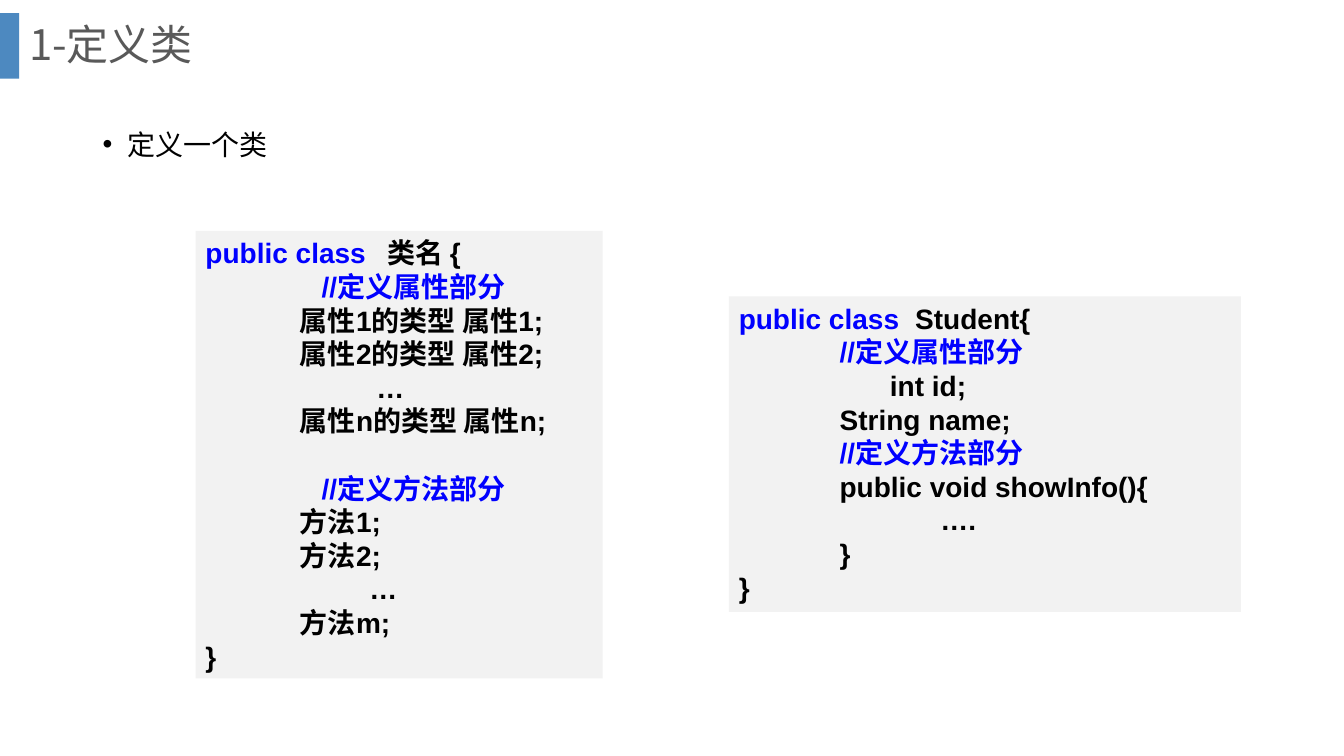
from dataclasses import dataclass

from lxml.etree import SubElement
from pptx import Presentation
from pptx.dml.color import RGBColor
from pptx.enum.shapes import MSO_SHAPE
from pptx.enum.text import MSO_ANCHOR, PP_ALIGN
from pptx.oxml.ns import qn
from pptx.util import Pt

ACCENT = RGBColor(0x2E, 0x75, 0xB6)
TITLE_GREY = RGBColor(0x59, 0x59, 0x59)
PANEL_GREY = RGBColor(0xF2, 0xF2, 0xF2)
BLUE = RGBColor(0x00, 0x00, 0xFF)
BLACK = RGBColor(0x00, 0x00, 0x00)
CJK_FONT = "Noto Sans CJK SC"
CODE_FONT = "Arial"
CODE_SIZE = 20


@dataclass(frozen=True)
class Box:
    left: float
    top: float
    width: float
    height: float

    def in_points(self):
        return Pt(self.left), Pt(self.top), Pt(self.width), Pt(self.height)


@dataclass(frozen=True)
class Line:
    text: str
    indent: float = 0
    color: RGBColor = BLACK
    keyword: str = ""
    tab: float = 0
    space_before: float = 0


@dataclass(frozen=True)
class CodePanel:
    box: Box
    lines: tuple[Line, ...]


STEP = 67.5
COMMENT = 83
TEMPLATE = CodePanel(Box(139.7, 164.9, 290.9, 319.7), (
    Line("\t类名 {", keyword="public class", tab=130),
    Line("//定义属性部分", COMMENT, BLUE),
    Line("属性1的类型 属性1;", STEP),
    Line("属性2的类型 属性2;", STEP),
    Line("…", 122),
    Line("属性n的类型 属性n;", STEP),
    Line("//定义方法部分", COMMENT, BLUE, space_before=24),
    Line("方法1;", STEP),
    Line("方法2;", STEP),
    Line("…", 117),
    Line("方法m;", STEP),
    Line("}"),
))
STUDENT = CodePanel(Box(520.6, 211.7, 365.8, 225.4), (
    Line("\tStudent{", keyword="public class", tab=126),
    Line("//定义属性部分", 72, BLUE),
    Line("int id;", 108),
    Line("String name;", 72),
    Line("//定义方法部分", 72, BLUE),
    Line("public void showInfo(){", 72),
    Line("….", 144),
    Line("}", 72),
    Line("}"),
))


def add_run(p, text: str, size: float, color: RGBColor,
            font: str = CJK_FONT, bold: bool = False) -> None:
    r = p.add_run()
    r.text = text
    r.font.size = Pt(size)
    r.font.bold = bold
    r.font.name = font
    r.font.color.rgb = color
    SubElement(r.font._element, qn("a:ea"), typeface=CJK_FONT)


def add_rect(s, box: Box, color: RGBColor):
    sp = s.shapes.add_shape(MSO_SHAPE.RECTANGLE, *box.in_points())
    sp.shadow.inherit = False
    sp.fill.solid()
    sp.fill.fore_color.rgb = color
    sp.line.fill.background()
    return sp


def add_accent(s) -> None:
    sp = add_rect(s, Box(0, 9.4, 13.7, 46.8), ACCENT)
    color = sp.fill._xPr.find(qn("a:solidFill")).find(qn("a:srgbClr"))
    SubElement(color, qn("a:alpha"), val="85000")


def add_text_box(s, box: Box, anchor: MSO_ANCHOR, line_spacing: float):
    tf = s.shapes.add_textbox(*box.in_points()).text_frame
    tf.word_wrap = True
    tf.vertical_anchor = anchor
    p = tf.paragraphs[0]
    p.line_spacing = line_spacing
    return p


def add_title(s) -> None:
    p = add_text_box(s, Box(13.7, 0, 911.5, 67), MSO_ANCHOR.MIDDLE, 0.9)
    add_run(p, "1-定义类", 30, TITLE_GREY)


def add_bullet(s) -> None:
    p = add_text_box(s, Box(66.2, 75.6, 828, 443.5), MSO_ANCHOR.TOP, 1.5)
    p.space_before = Pt(10)
    pPr = p._p.get_or_add_pPr()
    pPr.set("marL", str(Pt(18)))
    pPr.set("indent", str(Pt(-18)))
    SubElement(pPr, qn("a:buFont"), typeface="Arial")
    SubElement(pPr, qn("a:buChar"), char="•")
    add_run(p, "定义一个类", 20, BLACK)


def add_code_panel(s, panel: CodePanel) -> None:
    tf = add_rect(s, panel.box, PANEL_GREY).text_frame
    tf.word_wrap = True
    tf.vertical_anchor = MSO_ANCHOR.TOP
    for i, line in enumerate(panel.lines):
        p = tf.add_paragraph() if i else tf.paragraphs[0]
        p.alignment = PP_ALIGN.LEFT
        p.space_before = Pt(line.space_before)
        pPr = p._p.get_or_add_pPr()
        pPr.set("marL", str(Pt(line.indent)))
        if line.tab:
            tabs = SubElement(pPr, qn("a:tabLst"))
            SubElement(tabs, qn("a:tab"), pos=str(Pt(line.tab)), algn="l")
        if line.keyword:
            add_run(p, line.keyword, CODE_SIZE, BLUE, CODE_FONT, True)
        add_run(p, line.text, CODE_SIZE, line.color, CODE_FONT, True)


def main() -> None:
    prs = Presentation()
    prs.slide_width, prs.slide_height = Pt(960), Pt(540)
    s = prs.slides.add_slide(prs.slide_layouts[6])
    add_accent(s)
    add_title(s)
    add_bullet(s)
    for panel in (TEMPLATE, STUDENT):
        add_code_panel(s, panel)
    prs.save("out.pptx")


if __name__ == "__main__":
    main()
